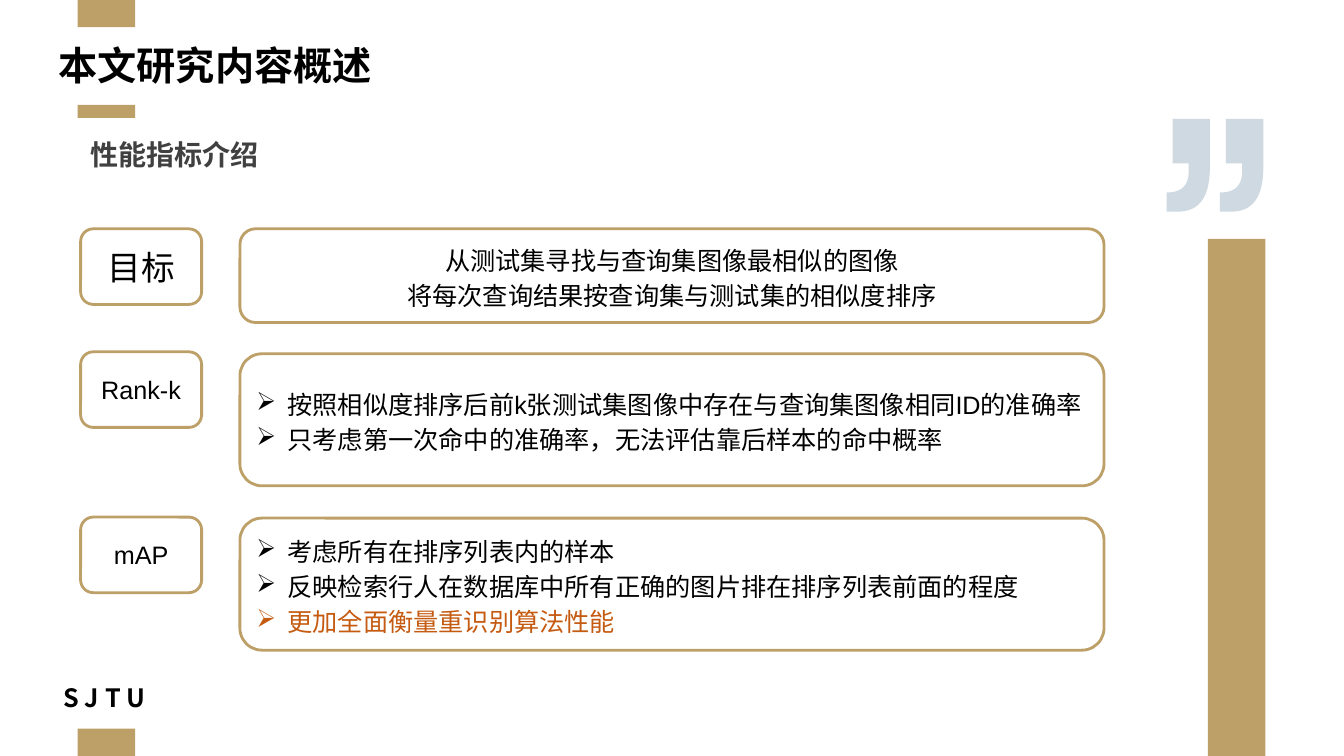
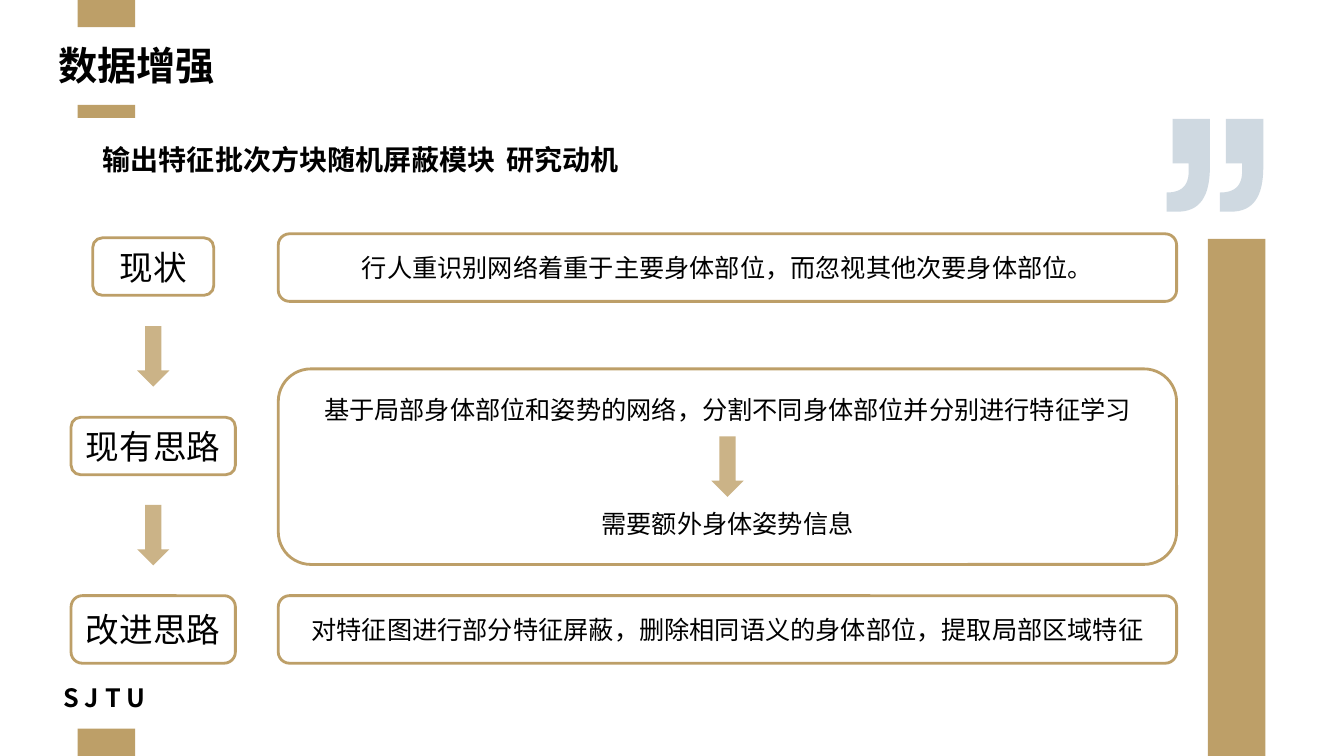
from lxml import etree
from pptx import Presentation
from pptx.dml.color import RGBColor
from pptx.enum.shapes import MSO_SHAPE
from pptx.enum.text import MSO_ANCHOR, MSO_AUTO_SIZE, PP_ALIGN
from pptx.oxml.ns import qn
from pptx.util import Inches, Pt

RECT, ROUND, DOWN = MSO_SHAPE.RECTANGLE, MSO_SHAPE.ROUNDED_RECTANGLE, MSO_SHAPE.DOWN_ARROW
TOP, MIDDLE, BOTTOM = MSO_ANCHOR.TOP, MSO_ANCHOR.MIDDLE, MSO_ANCHOR.BOTTOM
LEFT, CENTER, JUSTIFY = PP_ALIGN.LEFT, PP_ALIGN.CENTER, PP_ALIGN.JUSTIFY
NO_FIT = MSO_AUTO_SIZE.NONE

CJK, LATIN = "Noto Sans CJK SC", "Arial"
GOLD, ARROW, QUOTE = "BD9F68", "CBB387", "C0CDD8"
BLACK, GREY, WHITE, ORANGE = "000000", "404040", "FFFFFF", "C55A11"

BARS = [(0.77, 1.04, 0.57, 0.13), (0.77, 0, 0.57, 0.27),
        (0.77, 7.23, 0.57, 0.27), (11.98, 2.37, 0.57, 5.13)]

# One quotation mark: points are line ends, triples of points are Bezier curves.
QUOTE_START = (12.53, 1.18)
QUOTE_STEPS = [
    (12.53, 1.66),
    ((12.53, 1.95), (12.43, 2.1), (12.21, 2.1)),
    (12.1, 2.1), (12.1, 1.91),
    ((12.25, 1.91), (12.32, 1.84), (12.32, 1.7)),
    (12.32, 1.62), (12.16, 1.62), (12.16, 1.18),
]
QUOTE_SHIFTS = (0, -0.53)

METRICS_TITLE = "本文研究内容概述"
METRICS_SUBTITLE = ("性能指标介绍", 0.8, 1.21, GREY)
METRICS_LABEL = (0.8, 1.2, 0.75)     # left, width, height
METRICS_DETAIL = (2.38, 8.57)        # left, width
METRICS = [
    # label, size, label top, detail top, detail height, alignment, bulleted, lines
    ("目标", 24, 2.27, 2.27, 0.93, CENTER, False,
     ["从测试集寻找与查询集图像最相似的图像",
      "将每次查询结果按查询集与测试集的相似度排序"]),
    ("Rank-k", 18, 3.49, 3.51, 1.31, JUSTIFY, True,
     ["按照相似度排序后前k张测试集图像中存在与查询集图像相同ID的准确率",
      "只考虑第一次命中的准确率，无法评估靠后样本的命中概率"]),
    ("mAP", 18, 5.13, 5.14, 1.31, LEFT, True,
     ["考虑所有在排序列表内的样本",
      "反映检索行人在数据库中所有正确的图片排在排序列表前面的程度",
      "更加全面衡量重识别算法性能"]),
]
HIGHLIGHT = "更加全面衡量重识别算法性能"

MOTIVE_TITLE = "数据增强"
MOTIVE_SUBTITLE = ("输出特征批次方块随机屏蔽模块\t研究动机", 0.92, 1.26, BLACK)
SUBTITLE_TAB = 4.09
LABEL_CENTER = 1.52
MOTIVE_DETAIL = (2.76, 8.91)         # left, width
ARROW_W, ARROW_H = 0.32, 0.6
MOTIVES = [
    # label, label width, label top, label height, detail top, detail height, lines
    ("现状", 1.2, 2.36, 0.57, 2.32, 0.67,
     ["行人重识别网络着重于主要身体部位，而忽视其他次要身体部位。"]),
    ("现有思路", 1.63, 4.14, 0.57, 3.66, 1.94,
     ["基于局部身体部位和姿势的网络，分割不同身体部位并分别进行特征学习",
      "需要额外身体姿势信息"]),
    ("改进思路", 1.63, 5.91, 0.67, 5.91, 0.67,
     ["对特征图进行部分特征屏蔽，删除相同语义的身体部位，提取局部区域特征"]),
]


def rgb(color):
    return RGBColor.from_string(color)


def place(sp, x, y, w, h):
    sp.left, sp.top, sp.width, sp.height = (Inches(v) for v in (x, y, w, h))


def format_runs(p, size, color=BLACK, bold=False, latin=CJK):
    for r in p.runs:
        r.font.size, r.font.bold, r.font.name = Pt(size), bold, latin
        r.font.color.rgb = rgb(color)
        ea = etree.SubElement(r.font._element, qn("a:ea"))
        ea.set("typeface", CJK)


def set_marker(p, bullet=None, indent=0, tab=None):
    """Give a paragraph a bullet (or none), a hanging indent and a tab stop."""
    pPr = p._p.get_or_add_pPr()
    pPr.set("marL", str(Inches(indent)))
    pPr.set("indent", str(-Inches(indent)))
    if bullet:
        etree.SubElement(pPr, qn("a:buChar")).set("char", bullet)
    else:
        etree.SubElement(pPr, qn("a:buNone"))
    if tab:
        stop = etree.SubElement(etree.SubElement(pPr, qn("a:tabLst")), qn("a:tab"))
        stop.set("pos", str(Inches(tab)))
        stop.set("algn", "l")


def add_filled(slide, kind, x, y, w, h, fill):
    sp = slide.shapes.add_shape(kind, *(Inches(v) for v in (x, y, w, h)))
    sp.shadow.inherit = False
    sp.fill.solid()
    sp.fill.fore_color.rgb = rgb(fill)
    sp.line.fill.background()
    return sp


def add_box(slide, x, y, w, h, lines, size=18, align=CENTER, spacing=None,
            bulleted=False, gap=0):
    """Gold-outlined rounded box; gap is the space in points between its lines."""
    sp = add_filled(slide, ROUND, x, y, w, h, WHITE)
    sp.line.color.rgb, sp.line.width = rgb(GOLD), Pt(2)
    tf = sp.text_frame
    tf.word_wrap, tf.vertical_anchor = True, MIDDLE
    tf.text = "\n".join(lines)
    for i, p in enumerate(tf.paragraphs):
        if bulleted:
            set_marker(p, "➢", 0.31)
        p.alignment = align
        if spacing:
            p.line_spacing = Pt(spacing)
        if gap and i:
            p.space_before = Pt(gap)
        format_runs(p, size, ORANGE if p.text == HIGHLIGHT else BLACK, latin=LATIN)


def add_arrow(slide, center_x, center_y):
    add_filled(slide, DOWN, center_x - ARROW_W / 2, center_y - ARROW_H / 2,
               ARROW_W, ARROW_H, ARROW)


def bezier(start, c1, c2, end, steps=16):
    for i in range(1, steps + 1):
        t = i / steps
        u = 1 - t
        yield tuple(u ** 3 * a + 3 * u * u * t * b + 3 * u * t * t * c + t ** 3 * d
                    for a, b, c, d in zip(start, c1, c2, end))


def quote_outline():
    points = [QUOTE_START]
    for step in QUOTE_STEPS:
        points += bezier(points[-1], *step) if len(step) == 3 else [step]
    return points


def add_quote_marks(slide):
    outline, builder = quote_outline(), None
    for shift in QUOTE_SHIFTS:
        start, *rest = [(Inches(x + shift), Inches(y)) for x, y in outline]
        if builder is None:
            builder = slide.shapes.build_freeform(*start)
        else:
            builder.move_to(*start)
        builder.add_line_segments(rest, close=True)
    sp = builder.convert_to_shape()
    sp.shadow.inherit = False
    sp.fill.solid()
    sp.fill.fore_color.rgb = rgb(QUOTE)
    color = sp.element.spPr.find(qn("a:solidFill"))[0]
    etree.SubElement(color, qn("a:alpha")).set("val", "75000")
    sp.line.fill.background()


def add_school_name(slide):
    sp = slide.shapes.add_textbox(*(Inches(v) for v in (0.63, 6.8, 0.85, 0.27)))
    tf = sp.text_frame
    tf.margin_left = tf.margin_right = tf.margin_top = tf.margin_bottom = 0
    tf.word_wrap, tf.vertical_anchor = False, BOTTOM
    p = tf.paragraphs[0]
    p.text, p.line_spacing = "S J T U", 0.9
    format_runs(p, 18, bold=True)


def prepare_layout(prs, layout):
    """Set the title place and move the shared decoration into the layout."""
    for ph in list(layout.placeholders):
        if ph.placeholder_format.idx > 1:
            ph.element.getparent().remove(ph.element)
    place(layout.placeholders[0], 0.48, 0.36, 12.08, 0.57)
    slide = prs.slides.add_slide(layout)
    own = len(slide.shapes)
    for bar in BARS:
        add_filled(slide, RECT, *bar, GOLD)
    add_school_name(slide)
    add_quote_marks(slide)
    for sp in list(slide.shapes)[own:]:
        layout.shapes.element.append(sp.element)
    return slide


def fill_heading(slide, title, subtitle):
    text, x, y, color = subtitle
    body = slide.placeholders[1]
    place(body, x, y, 10.49, 0.5)
    for sp, words in ((slide.shapes.title, title), (body, text)):
        tf = sp.text_frame
        tf.text = words
        tf.word_wrap, tf.auto_size, tf.vertical_anchor = True, NO_FIT, TOP
        tf.paragraphs[0].alignment = LEFT
    format_runs(slide.shapes.title.text_frame.paragraphs[0], 28, bold=True)
    p = body.text_frame.paragraphs[0]
    set_marker(p, tab=SUBTITLE_TAB if "\t" in text else None)
    p.line_spacing, p.space_before = 1.3, Pt(0)
    format_runs(p, 20, color, bold=True)


def build_metrics(slide):
    fill_heading(slide, METRICS_TITLE, METRICS_SUBTITLE)
    label_x, label_w, label_h = METRICS_LABEL
    x, w = METRICS_DETAIL
    for label, size, label_y, y, h, align, bulleted, lines in METRICS:
        add_box(slide, label_x, label_y, label_w, label_h, [label], size)
        add_box(slide, x, y, w, h, lines, align=align, spacing=25, bulleted=bulleted)


def build_motives(slide):
    fill_heading(slide, MOTIVE_TITLE, MOTIVE_SUBTITLE)
    x, w = MOTIVE_DETAIL
    label_end = None
    for label, label_w, label_y, label_h, y, h, lines in MOTIVES:
        add_box(slide, LABEL_CENTER - label_w / 2, label_y, label_w, label_h, [label], 24)
        add_box(slide, x, y, w, h, lines, gap=60)
        if label_end:
            add_arrow(slide, LABEL_CENTER, (label_end + label_y) / 2)
        if len(lines) > 1:
            add_arrow(slide, x + w / 2, y + h / 2)
        label_end = label_y + label_h


def main():
    prs = Presentation()
    prs.slide_width, prs.slide_height = Inches(13.33), Inches(7.5)
    layout = prs.slide_layouts[1]
    build_metrics(prepare_layout(prs, layout))
    build_motives(prs.slides.add_slide(layout))
    prs.save("out.pptx")


if __name__ == "__main__":
    main()
